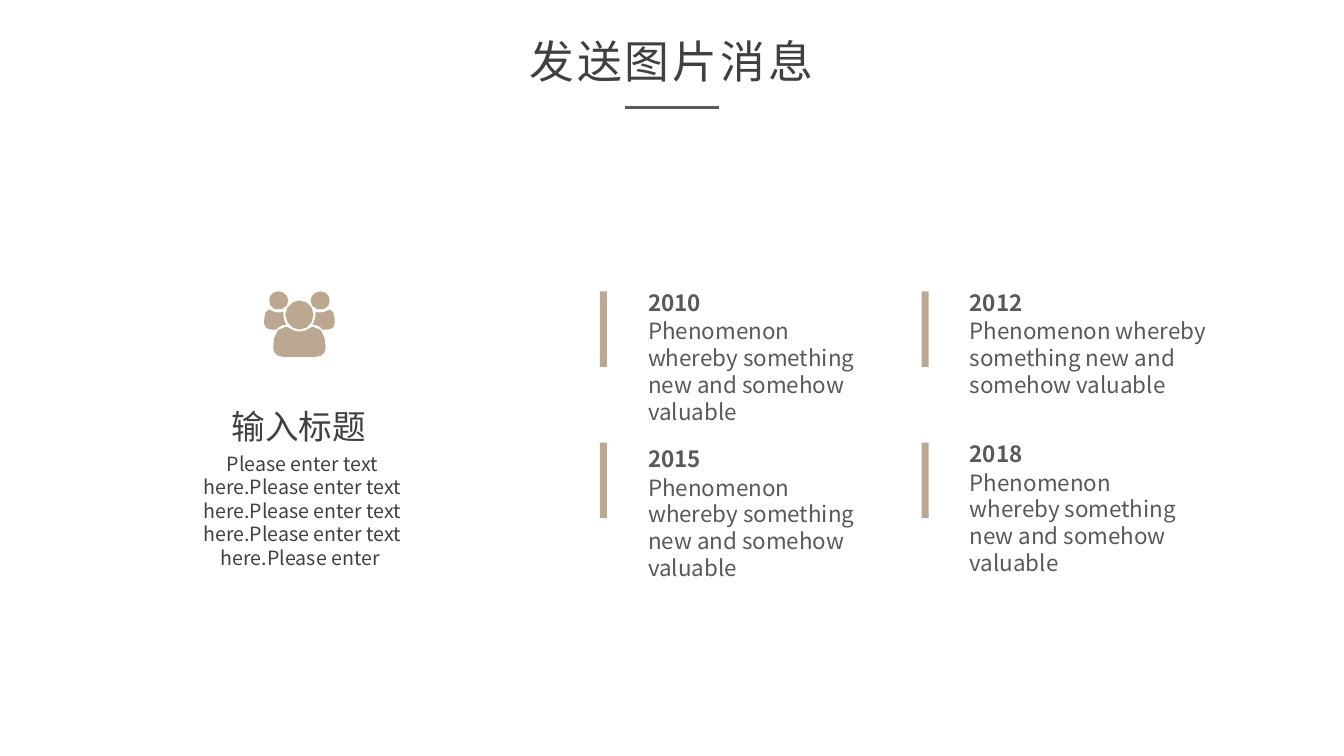
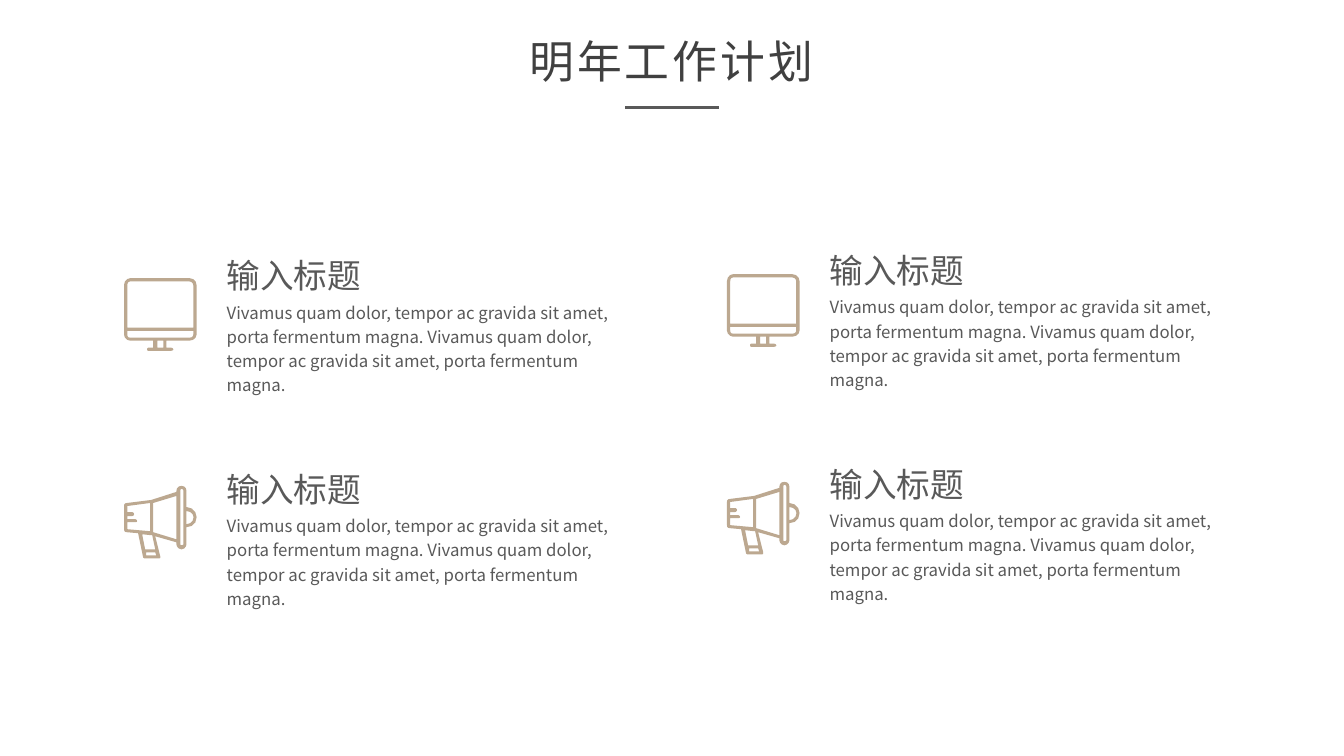
from dataclasses import dataclass
from itertools import product

from lxml.etree import SubElement
from pptx import Presentation
from pptx.dml.color import RGBColor
from pptx.enum.shapes import MSO_CONNECTOR, MSO_SHAPE
from pptx.enum.text import MSO_AUTO_SIZE, PP_ALIGN
from pptx.oxml.ns import qn
from pptx.util import Inches, Pt


@dataclass(frozen=True)
class Theme:
    font: str = "Noto Sans CJK SC"
    dark: str = "404040"
    grey: str = "595959"
    accent: str = "BCA890"
    title: int = 32
    heading: int = 24
    entry: int = 16
    caption: int = 14
    body: int = 12


T = Theme()

HEADING = "输入标题"
ENTRY = "Phenomenon whereby something new and somehow valuable"
PLAN = " ".join(["Vivamus quam dolor, tempor ac gravida sit amet, porta fermentum magna."] * 2)
CAPTION = "Please enter text here." * 4 + "Please enter "


def outline(data, steps=3):
    """Points of one closed contour; C marks a cubic curve of three points."""
    points = []
    tokens = iter(data.split())

    def pair(token):
        return tuple(float(v) for v in token.split(","))

    for token in tokens:
        if not token.startswith("C"):
            points.append(pair(token))
            continue
        curve = [points[-1], pair(token[1:]), pair(next(tokens)), pair(next(tokens))]
        for i in range(1, steps + 1):
            t = i / steps
            weights = ((1 - t) ** 3, 3 * t * (1 - t) ** 2, 3 * t * t * (1 - t), t ** 3)
            points.append(tuple(sum(w * p[axis] for w, p in zip(weights, curve))
                                for axis in (0, 1)))
    return points


def mirror(points, width):
    return [(width - x, y) for x, y in points]


# Icon outlines in hundredths of an inch
SIDE_PERSON = [
    outline("12,38 8,38 C4,38 0,36 0,32 C0,28 0,18 5,18 C6,18 9,21 14,21 "
            "C16,21 17,21 19,20 19,23 C19,26 20,30 22,33 C18,33 14,35 12,38"),
    outline("14,18 C9,18 5,15 5,9 C5,4 9,0 14,0 C19,0 24,4 24,9 C24,15 19,18 14,18"),
]
PEOPLE = SIDE_PERSON + [mirror(c, 70) for c in SIDE_PERSON] + [
    outline("51,65 19,65 C13,65 9,62 9,56 C9,47 11,35 22,35 C24,35 28,40 35,40 "
            "C42,40 47,35 48,35 C59,35 61,47 61,56 C61,62 57,65 51,65"),
    outline("35,38 C28,38 21,31 21,23 C21,16 28,9 35,9 C43,9 49,16 49,23 C49,31 43,38 35,38"),
]
MONITOR = [
    outline("68.7,49 3.3,49 3.3,7 C3.3,5 4,3.3 6,3.3 65,3.3 C67,3.3 68.7,5 68.7,7"),
    outline("68.7,56 C68.7,58 67,59 65,59 6,59 C4,59 3.3,58 3.3,56 3.3,52.3 68.7,52.3"),
    outline("39,69 33,69 33,62 39,62"),
    outline("65,0 6,0 C3,0 0,3 0,7 0,56 C0,59 3,62 6,62 29,62 29,69 24,69 "
            "C23,69 23,70 23,71 C23,71 23,72 24,72 47,72 C48,72 49,71 49,71 "
            "C49,70 48,69 47,69 42,69 42,62 65,62 C69,62 72,59 72,56 72,7 C72,3 69,0 65,0"),
]
MEGAPHONE = [
    outline("62,38 62,25 C66,25 69,28 69,31 C69,35 66,38 62,38"),
    outline("59,58 C59,58 58,59 57,59 C56,59 56,58 56,58 56,5 C56,4 56,3 57,3 C58,3 59,4 59,5"),
    outline("52,53 29,46 29,17 52,10"),
    outline("31,66 32,69 22,69 22,66"),
    outline("21,63 18,48 27,49 28,49 31,63"),
    outline("3.3,43 3.3,36 11,36 C12,36 13,36 13,35 C13,34 12,33 11,33 3.3,33 3.3,30 8,30 "
            "C9,30 10,29 10,28 C10,27 9,26 8,26 3.3,26 3.3,20 26,17 26,45"),
    outline("62,21 62,5 C62,2 60,0 57,0 C54,0 52,2 52,5 52,6 27,14 3,17 C1,17 0,18 0,20 "
            "0,43 C0,45 1,46 3,46 14,47 19,71 C20,72 20,72 21,72 34,72 "
            "C35,72 36,72 36,71 36,70 31,50 52,56 52,58 C52,60 54,63 57,63 "
            "C60,63 62,60 62,58 62,41 C68,41 72,37 72,31 C72,26 68,21 62,21"),
]


def add_text(s, text, x, y, w, h, size, color=T.grey, bold=False,
             align=PP_ALIGN.LEFT, line_spacing=None, tracking=None, insets=None):
    tf = s.shapes.add_textbox(Inches(x), Inches(y), Inches(w), Inches(h)).text_frame
    tf.word_wrap = True
    tf.auto_size = MSO_AUTO_SIZE.SHAPE_TO_FIT_TEXT
    if insets:
        tf.margin_left = tf.margin_right = Inches(insets[0])
        tf.margin_top = tf.margin_bottom = Inches(insets[1])
    p = tf.paragraphs[0]
    p.alignment = align
    p.line_spacing = line_spacing
    r = p.add_run()
    r.text = text
    r.font.size = Pt(size)
    r.font.bold = bold
    r.font.color.rgb = RGBColor.from_string(color)
    r.font.name = T.font
    rPr = r._r.get_or_add_rPr()
    SubElement(rPr, qn("a:ea")).set("typeface", T.font)
    if tracking:
        rPr.set("spc", str(round(tracking * 100)))


def paint(sp, color=T.accent):
    sp.shadow.inherit = False
    sp.fill.solid()
    sp.fill.fore_color.rgb = RGBColor.from_string(color)
    sp.line.fill.background()


def add_icon(s, contours, x, y):
    placed = [[(Inches(x + px / 100), Inches(y + py / 100)) for px, py in c]
              for c in contours]
    builder = s.shapes.build_freeform(*placed[0][0])
    for i, (start, *rest) in enumerate(placed):
        if i:
            builder.move_to(*start)
        builder.add_line_segments(rest, close=True)
    paint(builder.convert_to_shape())


def add_titled_slide(prs, title):
    s = prs.slides.add_slide(prs.slide_layouts[6])
    add_text(s, title, 4.78, 0.29, 3.76, 0.61, T.title, T.dark,
             align=PP_ALIGN.CENTER, tracking=2.2, insets=(0.07, 0.04))
    rule = s.shapes.add_connector(MSO_CONNECTOR.STRAIGHT, Inches(6.2), Inches(1.07),
                                  Inches(7.13), Inches(1.07))
    rule.line.color.rgb = RGBColor.from_string(T.grey)
    rule.line.width = Pt(2.25)
    SubElement(rule._element.spPr, qn("a:effectLst"))
    return s


def add_team(s, x, y, w):
    """Icon over a centred heading and caption."""
    add_icon(s, PEOPLE, x + 1.01, y)
    add_text(s, HEADING, x + 0.38, y + 1.09, 1.95, 0.5, T.heading, T.dark,
             align=PP_ALIGN.CENTER)
    add_text(s, CAPTION, x, y + 1.54, w, 1.04, T.caption, T.dark, align=PP_ALIGN.CENTER)


def add_year(s, year, x, y, text_w, text_drop=0):
    """Accent bar with a year and its text to the right."""
    bar = s.shapes.add_shape(MSO_SHAPE.RECTANGLE, Inches(x), Inches(y + 0.07),
                             Inches(0.07), Inches(0.75))
    paint(bar)
    text_x, text_y = x + 0.38, y + text_drop
    add_text(s, year, text_x, text_y, 1.24, 0.37, T.entry, bold=True)
    add_text(s, ENTRY, text_x, text_y + 0.28, text_w, 0.91, T.entry)


def add_plan(s, icon, x, y, icon_y):
    """Icon with a heading and body text to the right."""
    add_icon(s, icon, x, icon_y)
    add_text(s, HEADING, x + 0.92, y, 4.01, 0.55, T.heading, line_spacing=1.2)
    add_text(s, PLAN, x + 0.92, y + 0.51, 4.01, 0.83, T.body, line_spacing=1.2)


def build_message_slide(prs):
    s = add_titled_slide(prs, "发送图片消息")
    add_team(s, 1.61, 2.89, 2.78)
    left, right, top, bottom = 5.95, 9.14, 2.82, 4.32
    add_year(s, "2010", left, top, 2.53)
    add_year(s, "2012", right, top, 2.64)
    add_year(s, "2015", left, bottom, 2.39, text_drop=0.05)
    add_year(s, "2018", right, bottom, 2.25)


def build_plan_slide(prs):
    s = add_titled_slide(prs, "明年工作计划")
    columns = [(1.23, 2.4, 2.76), (7.21, 2.35, 2.72)]
    rows = [(MONITOR, 0, 0), (MEGAPHONE, 2.12, 2.06)]
    for (x, top, icon_top), (icon, step, icon_step) in product(columns, rows):
        add_plan(s, icon, x, top + step, icon_top + icon_step)


def main():
    prs = Presentation()
    prs.slide_width, prs.slide_height = Inches(13.33), Inches(7.5)
    build_message_slide(prs)
    build_plan_slide(prs)
    prs.save("out.pptx")


if __name__ == "__main__":
    main()
